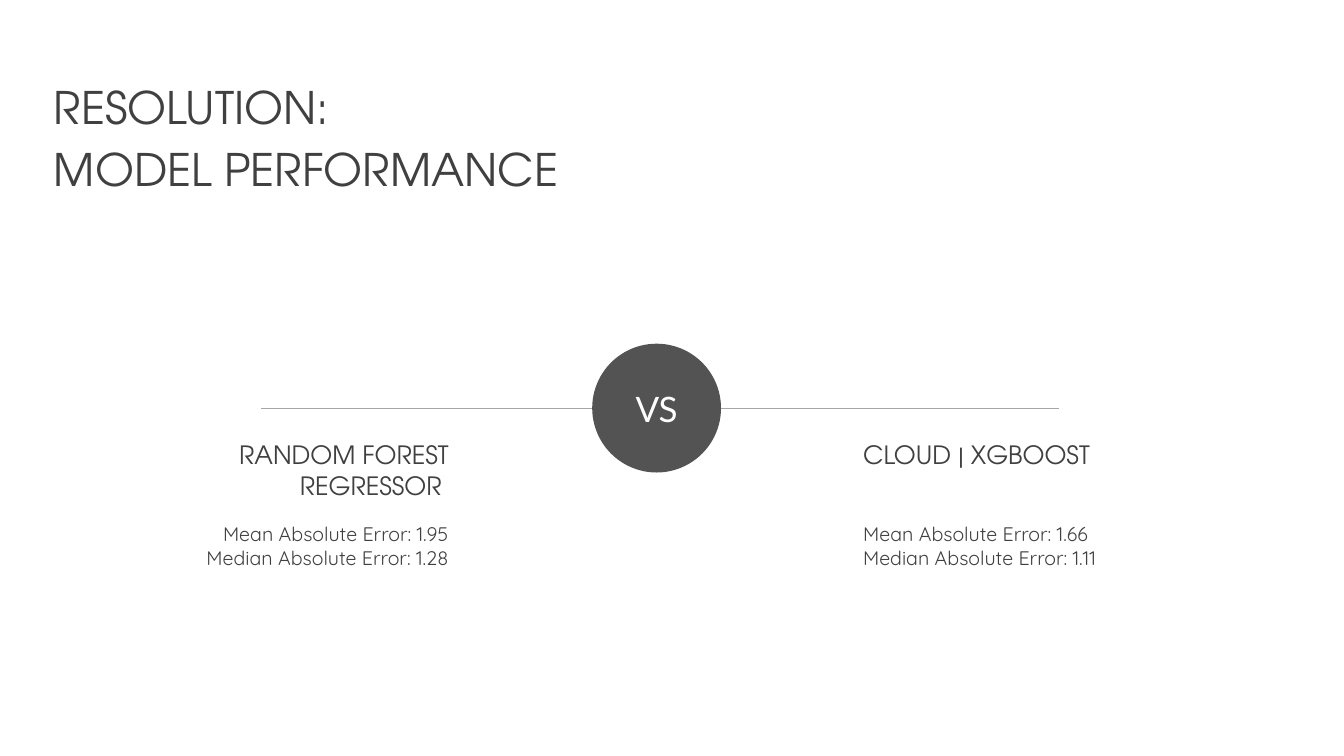
from dataclasses import dataclass

from lxml import etree
from pptx import Presentation
from pptx.dml.color import RGBColor
from pptx.enum import shapes, text
from pptx.oxml.ns import qn
from pptx.util import Pt

TITLE = ["RESOLUTION:", "MODEL PERFORMANCE"]
VERSUS = "VS"
# Each model: heading, metrics
MODELS = [
    ("RANDOM FOREST REGRESSOR ",
     ["Mean Absolute Error: 1.95", "Median Absolute Error: 1.28"]),
    ("CLOUD | XGBOOST",
     ["Mean Absolute Error: 1.66", "Median Absolute Error: 1.11"]),
]


@dataclass(frozen=True)
class Theme:
    ink: RGBColor = RGBColor(0x40, 0x40, 0x40)
    rule: RGBColor = RGBColor(0xA6, 0xA6, 0xA6)
    badge: RGBColor = RGBColor(0x53, 0x53, 0x53)
    white: RGBColor = RGBColor(0xFF, 0xFF, 0xFF)
    display_font: str = "TeX Gyre Adventor"
    body_font: str = "Quicksand"
    badge_font: str = "Lato"
    title_size: int = 32
    badge_size: int = 25
    heading_size: int = 18
    metric_size: int = 14


THEME = Theme()
SLIDE_SIZE = (960, 540)
TITLE_BOX = (38.5, 51.5, 600, 88)
TITLE_PITCH = 44
HEADING_PITCH = 22
HEADING_TOP, HEADING_WIDTH, HEADING_HEIGHT = 313.5, 222.5, 44
METRIC_TOP, METRIC_WIDTH, METRIC_HEIGHT = 373, 223, 57.6
LEFT_COLUMN_EDGE, RIGHT_COLUMN_EDGE = 320.5, 616.5
RULE_START, RULE_END, RULE_Y = 186.5, 756.5, 291.5
BADGE_CENTER_X, BADGE_DIAMETER = 469, 90


def place(shape, left, top, width, height):
    shape.left, shape.top = Pt(left), Pt(top)
    shape.width, shape.height = Pt(width), Pt(height)


def write(shape, lines, font, size, color, align=text.PP_ALIGN.LEFT,
          pitch=None, anchor=text.MSO_ANCHOR.TOP):
    """Fill a shape with plain unbulleted paragraphs, without insets."""
    frame = shape.text_frame
    frame.margin_left = frame.margin_top = frame.margin_right = frame.margin_bottom = 0
    frame.word_wrap = True
    frame.auto_size = text.MSO_AUTO_SIZE.NONE
    frame.vertical_anchor = anchor
    frame.text = "\n".join(lines)
    for paragraph in frame.paragraphs:
        paragraph.alignment = align
        paragraph.line_spacing = Pt(pitch) if pitch else 1.0
        paragraph.space_before = paragraph.space_after = Pt(0)
        properties = paragraph._p.get_or_add_pPr()
        properties.set("marL", "0")
        properties.set("indent", "0")
        etree.SubElement(properties, qn("a:buNone"))
        for run in paragraph.runs:
            run.font.name = font
            run.font.size = Pt(size)
            run.font.bold = False
            run.font.color.rgb = color


def add_versus(slide):
    rule = slide.shapes.add_connector(
        shapes.MSO_CONNECTOR.STRAIGHT,
        Pt(RULE_START), Pt(RULE_Y), Pt(RULE_END), Pt(RULE_Y))
    rule.line.color.rgb = THEME.rule
    rule.line.width = Pt(0.75)
    etree.SubElement(rule._element.spPr, qn("a:effectLst"))

    radius = BADGE_DIAMETER / 2
    badge = slide.shapes.add_shape(
        shapes.MSO_SHAPE.OVAL, Pt(BADGE_CENTER_X - radius), Pt(RULE_Y - radius),
        Pt(BADGE_DIAMETER), Pt(BADGE_DIAMETER))
    badge.shadow.inherit = False
    badge.fill.solid()
    badge.fill.fore_color.rgb = THEME.badge
    badge.line.color.rgb = THEME.badge
    badge.line.width = Pt(2)
    write(badge, [VERSUS], THEME.badge_font, THEME.badge_size, THEME.white,
          text.PP_ALIGN.CENTER, anchor=text.MSO_ANCHOR.MIDDLE)


def main():
    presentation = Presentation()
    presentation.slide_width, presentation.slide_height = map(Pt, SLIDE_SIZE)
    comparison_layout = presentation.slide_layouts[4]
    slide = presentation.slides.add_slide(comparison_layout)
    title, *bodies = slide.placeholders

    place(title, *TITLE_BOX)
    write(title, TITLE, THEME.display_font, THEME.title_size, THEME.ink,
          pitch=TITLE_PITCH)

    columns = [
        (LEFT_COLUMN_EDGE - HEADING_WIDTH, LEFT_COLUMN_EDGE - METRIC_WIDTH,
         text.PP_ALIGN.RIGHT),
        (RIGHT_COLUMN_EDGE, RIGHT_COLUMN_EDGE, text.PP_ALIGN.LEFT),
    ]
    for (name, metrics), (heading_left, metric_left, align), heading, details in zip(
            MODELS, columns, bodies[::2], bodies[1::2]):
        place(heading, heading_left, HEADING_TOP, HEADING_WIDTH, HEADING_HEIGHT)
        write(heading, [name], THEME.display_font, THEME.heading_size, THEME.ink,
              align, HEADING_PITCH)
        place(details, metric_left, METRIC_TOP, METRIC_WIDTH, METRIC_HEIGHT)
        write(details, metrics, THEME.body_font, THEME.metric_size, THEME.ink, align)

    add_versus(slide)
    presentation.save("out.pptx")


if __name__ == "__main__":
    main()
